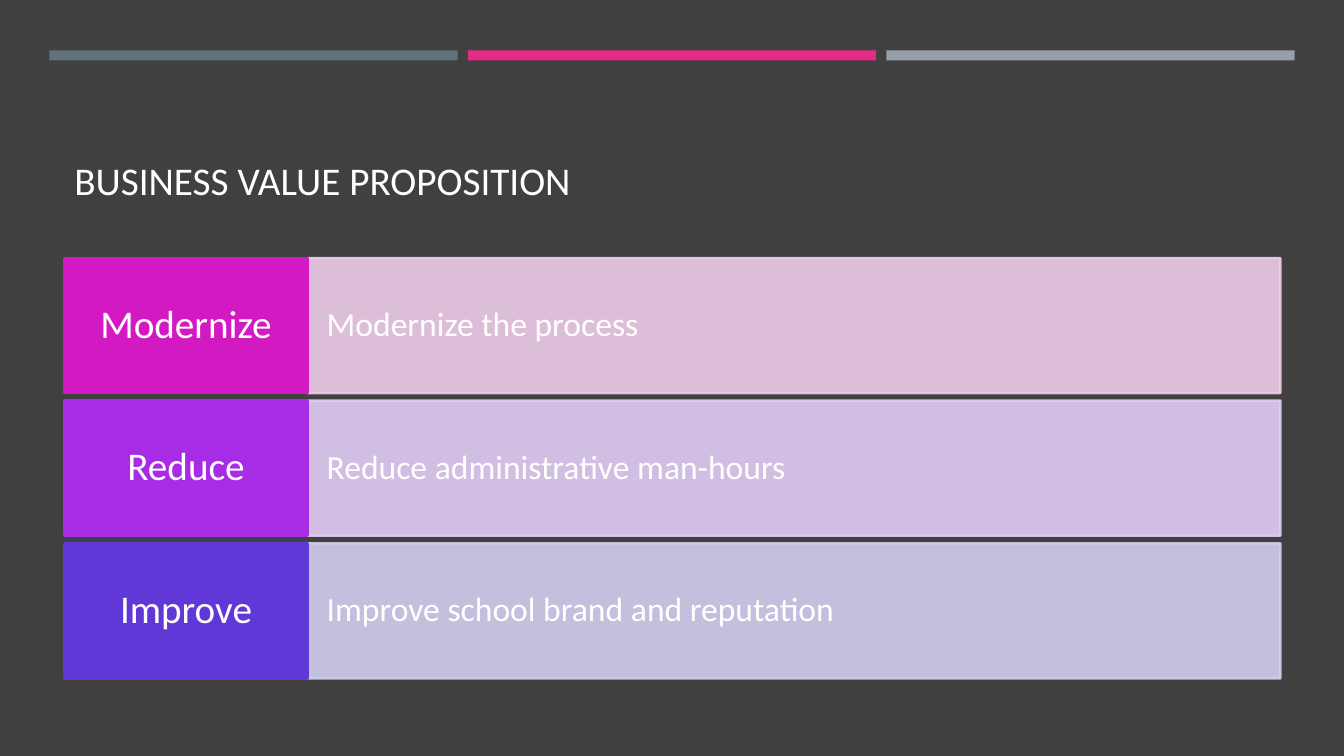
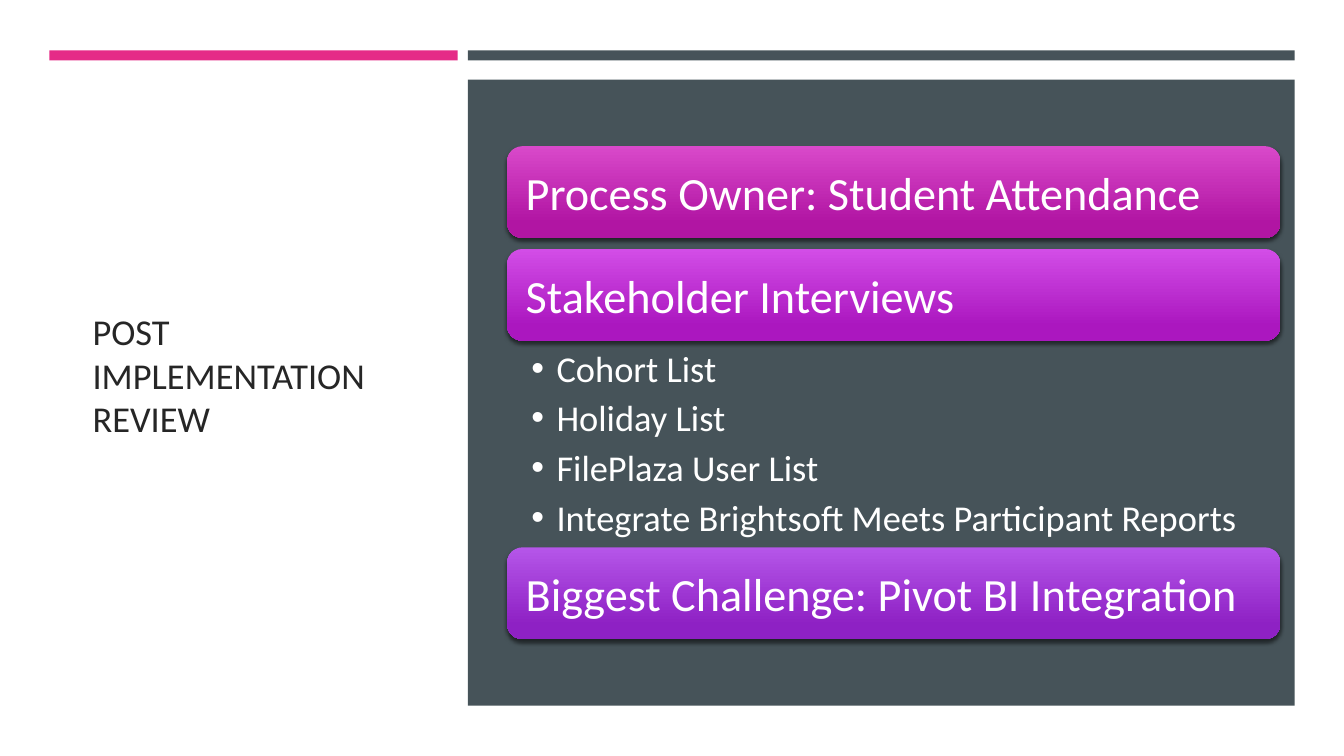
from lxml import etree
from pptx import Presentation
from pptx.dml.color import RGBColor
from pptx.enum.shapes import MSO_SHAPE
from pptx.enum.text import MSO_ANCHOR, PP_ALIGN
from pptx.oxml.ns import qn
from pptx.util import Inches, Pt

RECT, ROUNDED = MSO_SHAPE.RECTANGLE, MSO_SHAPE.ROUNDED_RECTANGLE
TOP, MIDDLE, BOTTOM = MSO_ANCHOR.TOP, MSO_ANCHOR.MIDDLE, MSO_ANCHOR.BOTTOM
LEFT, CENTER = PP_ALIGN.LEFT, PP_ALIGN.CENTER

FONT = "Calibri"
COLORS = {
    "white": "FFFFFF", "charcoal": "404040", "ink": "262626",
    "steel": "60727A", "pink": "E52B87", "silver": "969FA7", "slate": "465359",
    "magenta": "D319C2", "magenta_pale": "EFCCE9",
    "purple": "A82BE5", "purple_pale": "E1CDF5",
    "indigo": "6138D8", "indigo_pale": "D2CEF0",
    "rose_top": "D949CA", "rose_end": "B115A3",
    "orchid_top": "D24DE7", "orchid_end": "AB17BF",
    "violet_top": "B556E9", "violet_end": "8E21C4",
}
MARGIN, BAND_TOP, BAND_HEIGHT = 0.49, 0.5, 0.1
COLUMN, COLUMN_GAP = 4.05, 0.1

VALUES = [
    ("Modernize", "Modernize the process", "magenta"),
    ("Reduce", "Reduce administrative man-hours", "purple"),
    ("Improve", "Improve school brand and reputation", "indigo"),
]
INTERVIEW_TOPICS = ["Cohort List", "Holiday List", "FilePlaza User List",
                    "Integrate Brightsoft Meets Participant Reports"]


def rgb(name):
    return RGBColor.from_string(COLORS[name])


def write(shape, *lines, size, color="white", align=LEFT, anchor=MIDDLE,
          insets=(0.1, 0.05, 0.1, 0.05), spacing=1.0, after=0, bullet=None):
    """Fill a shape with one paragraph per line; insets run left, top, right, bottom."""
    frame = shape.text_frame
    frame.word_wrap = True
    frame.vertical_anchor = anchor
    (frame.margin_left, frame.margin_top,
     frame.margin_right, frame.margin_bottom) = map(Inches, insets)
    for index, line in enumerate(lines):
        paragraph = frame.add_paragraph() if index else frame.paragraphs[0]
        paragraph.alignment = align
        paragraph.line_spacing = spacing
        paragraph.space_after = Pt(after)
        if bullet:
            properties = paragraph._p.get_or_add_pPr()
            properties.set("marL", str(Inches(0.25)))
            properties.set("indent", str(-Inches(0.25)))
            etree.SubElement(properties, qn("a:buFont"), typeface="Arial")
            etree.SubElement(properties, qn("a:buChar"), char=bullet)
        run = paragraph.add_run()
        run.text = line
        run.font.name, run.font.size = FONT, Pt(size)
        run.font.color.rgb = rgb(color)


def add_text(slide, box, *lines, **style):
    write(slide.shapes.add_textbox(*map(Inches, box)), *lines, **style)


def add_block(slide, box, color, outlined=False, opacity=100):
    block = slide.shapes.add_shape(RECT, *map(Inches, box))
    block.shadow.inherit = False
    block.fill.solid()
    block.fill.fore_color.rgb = rgb(color)
    if outlined:
        block.line.color.rgb = rgb(color)
        block.line.width = Pt(1.75)
    else:
        block.line.fill.background()
    if opacity < 100:
        for tint in block._element.spPr.iter(qn("a:srgbClr")):
            etree.SubElement(tint, qn("a:alpha"), val=str(opacity * 1000))
    return block


def add_bands(slide, *bands):
    """Draw the top bands from (color, columns spanned) pairs."""
    left = MARGIN
    for color, span in bands:
        width = span * COLUMN + (span - 1) * COLUMN_GAP
        add_block(slide, (left, BAND_TOP, width, BAND_HEIGHT), color)
        left += width + COLUMN_GAP


def add_slide(deck, background):
    slide = deck.slides.add_slide(deck.slide_layouts[6])
    slide.background.fill.solid()
    slide.background.fill.fore_color.rgb = rgb(background)
    return slide


def add_value_rows(slide, box):
    left, top, width, height = box
    row_height, label_width = 1.34, 2.41
    pitch = (height - row_height) / (len(VALUES) - 1)
    for index, (label, detail, color) in enumerate(VALUES):
        row_top = top + index * pitch
        detail_box = (left + label_width, row_top, width - label_width, row_height)
        write(add_block(slide, detail_box, color + "_pale", True, 90), detail,
              size=24, insets=(0.19, 0.34, 0.19, 0.34), spacing=0.9)
        label_box = (left, row_top, label_width, row_height)
        write(add_block(slide, label_box, color, True), label,
              size=28, align=CENTER, insets=(0.13,) * 4, spacing=0.9)


def add_heading_bar(slide, box, text, hue):
    """Add a rounded gradient bar with a soft shadow below it."""
    bar = slide.shapes.add_shape(ROUNDED, *map(Inches, box))
    bar.line.fill.background()
    bar.fill.gradient()
    bar.fill.gradient_angle = 270
    for stop, (shade, position) in zip(bar.fill.gradient_stops,
                                       (("_top", 0), ("_end", 0.84))):
        stop.color.rgb = rgb(hue + shade)
        stop.position = position
    bar.shadow.inherit = False
    effects = bar._element.spPr.find(qn("a:effectLst"))
    shadow = etree.SubElement(effects, qn("a:outerShdw"), blurRad=str(Pt(3)),
                              dist=str(Pt(2)), dir="5400000", rotWithShape="0")
    black = etree.SubElement(shadow, qn("a:srgbClr"), val="000000")
    etree.SubElement(black, qn("a:alpha"), val="55000")
    write(bar, text, size=33, insets=(0.14,) * 4)


def add_review_list(slide, box):
    left, top, width, height = box
    bar_height, gap, topics_height = 0.91, 0.11, 2.05
    interviews_top = top + bar_height + gap
    headings = [
        (top, "Process Owner: Student Attendance", "rose"),
        (interviews_top, "Stakeholder Interviews", "orchid"),
        (top + height - bar_height, "Biggest Challenge: Pivot BI Integration", "violet"),
    ]
    for bar_top, text, hue in headings:
        add_heading_bar(slide, (left, bar_top, width, bar_height), text, hue)
    add_text(slide, (left, interviews_top + bar_height, width, topics_height),
             *INTERVIEW_TOPICS, size=26, anchor=TOP, after=4.4, bullet="•",
             insets=(0.24, 0.05, 0.26, 0.05))


def build_value_slide(deck):
    slide = add_slide(deck, "charcoal")
    add_text(slide, (0.64, 0.77, 12.06, 1.3), "BUSINESS VALUE PROPOSITION",
             size=28, anchor=BOTTOM)
    add_bands(slide, ("steel", 1), ("pink", 1), ("silver", 1))
    add_value_rows(slide, (0.64, 2.56, 12.06, 4.17))


def build_review_slide(deck):
    slide = add_slide(deck, "white")
    add_text(slide, (0.82, 1.14, 3.34, 5.15), "POST IMPLEMENTATION REVIEW",
             size=26, color="ink")
    add_bands(slide, ("pink", 1), ("slate", 2))
    add_block(slide, (4.64, 0.79, 8.2, 6.21), "slate")
    add_review_list(slide, (5.03, 1.45, 7.67, 4.89))


def main():
    deck = Presentation()
    deck.slide_width, deck.slide_height = Inches(13.33), Inches(7.5)
    build_value_slide(deck)
    build_review_slide(deck)
    deck.save("out.pptx")


if __name__ == "__main__":
    main()
